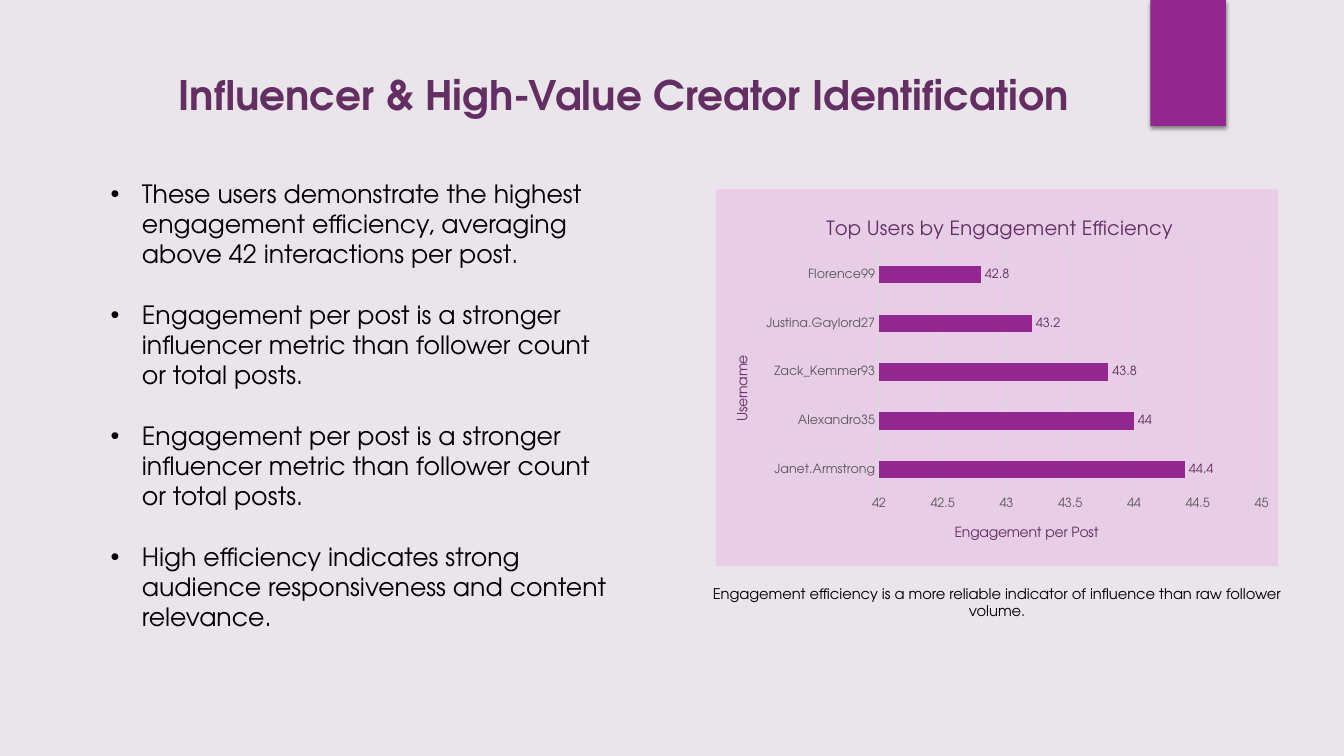
from dataclasses import dataclass

from lxml import etree
from pptx import Presentation
from pptx.chart.data import CategoryChartData
from pptx.dml.color import RGBColor
from pptx.enum.chart import XL_CHART_TYPE, XL_LABEL_POSITION, XL_TICK_MARK
from pptx.enum.shapes import MSO_SHAPE
from pptx.enum.text import MSO_ANCHOR, PP_ALIGN
from pptx.oxml import parse_xml
from pptx.oxml.ns import nsdecls, qn
from pptx.util import Inches, Pt

BAR = XL_CHART_TYPE.BAR_CLUSTERED
OUTSIDE = XL_LABEL_POSITION.OUTSIDE_END
NO_TICK = XL_TICK_MARK.NONE
RECT = MSO_SHAPE.RECTANGLE
TOP, MIDDLE = MSO_ANCHOR.TOP, MSO_ANCHOR.MIDDLE
LEFT, CENTER = PP_ALIGN.LEFT, PP_ALIGN.CENTER

FONT = "TeX Gyre Adventor"
PALE, PINK, PURPLE, PLUM = "EAE5EB", "E8CDE7", "92278F", "632E62"
BLACK, GREY, SILVER = "000000", "595959", "D9D9D9"


@dataclass
class Box:
    x: float
    y: float
    w: float
    h: float

    def inches(self) -> tuple:
        return tuple(Inches(n) for n in (self.x, self.y, self.w, self.h))


@dataclass
class Text:
    box: Box
    lines: list[str]
    size: float
    color: str = BLACK
    bold: bool = False
    align: PP_ALIGN = LEFT
    anchor: MSO_ANCHOR = TOP
    bullet: bool = False


TEXTS = [
    Text(Box(1.67, 0.64, 11.5, 0.6),
         ["Influencer & High-Value Creator Identification"],
         29, PLUM, bold=True, anchor=MIDDLE),
    Text(Box(1, 1.72, 5.23, 4.64), [
        "These users demonstrate the highest engagement efficiency, "
        "averaging above 42 interactions per post.",
        "Engagement per post is a stronger influencer metric than "
        "follower count or total posts.",
        "Engagement per post is a stronger influencer metric than "
        "follower count or total posts.",
        "High efficiency indicates strong audience responsiveness and "
        "content relevance."], 18, bullet=True),
    Text(Box(6.72, 5.75, 6.34, 0.45),
         ["Engagement efficiency is a more reliable indicator of influence "
          "than raw follower volume."], 10.5, align=CENTER),
]
USERS = {"Janet.Armstrong": 44.4, "Alexandro35": 44, "Zack_Kemmer93": 43.8,
         "Justina.Gaylord27": 43.2, "Florence99": 42.8}


def rgb(code: str) -> RGBColor:
    return RGBColor.from_string(code)


def style(font, size: float, color: str, bold: bool = False) -> None:
    font.name, font.size, font.bold = FONT, Pt(size), bold
    font.color.rgb = rgb(color)


def add_text(slide, item: Text) -> None:
    frame = slide.shapes.add_textbox(*item.box.inches()).text_frame
    frame.word_wrap = True
    frame.vertical_anchor = item.anchor
    for i, line in enumerate(item.lines):
        para = frame.add_paragraph() if i else frame.paragraphs[0]
        para.alignment = item.align
        if item.bullet:
            para.space_before = Pt(21.6 if i else 0)
            props = para._p.get_or_add_pPr()
            props.set("marL", str(Inches(0.31)))
            props.set("indent", str(Inches(-0.31)))
            font = etree.SubElement(props, qn("a:buFont"))
            font.set("typeface", "Arial")
            etree.SubElement(props, qn("a:buChar")).set("char", "•")
        run = para.add_run()
        run.text = line
        style(run.font, item.size, item.color, item.bold)


def add_rect(slide, box: Box, color: str):
    rect = slide.shapes.add_shape(RECT, *box.inches())
    rect.shadow.inherit = False
    rect.fill.solid()
    rect.fill.fore_color.rgb = rgb(color)
    rect.line.fill.background()
    return rect


def add_shade(shape) -> None:
    """Drop a soft black shadow below the shape."""
    effect = shape._element.spPr.find(qn("a:effectLst"))
    effect.append(parse_xml(
        f'<a:outerShdw {nsdecls("a")} blurRad="{Pt(3)}" dist="{Pt(2)}" '
        'dir="5400000" rotWithShape="0"><a:srgbClr val="000000">'
        '<a:alpha val="45000"/></a:srgbClr></a:outerShdw>'))


def place(node, **spots: float) -> None:
    """Fix a chart part at fractions of the chart's size."""
    old = node.find(qn("c:layout"))
    if old is not None:
        node.remove(old)
    layout = etree.Element(qn("c:layout"))
    manual = etree.SubElement(layout, qn("c:manualLayout"))
    if "w" in spots:
        etree.SubElement(manual, qn("c:layoutTarget")).set("val", "inner")
    for key in ("xMode", "yMode"):
        etree.SubElement(manual, qn(f"c:{key}")).set("val", "edge")
    for key, spot in spots.items():
        etree.SubElement(manual, qn(f"c:{key}")).set("val", str(spot))
    node.insert(0 if node.find(qn("c:tx")) is None else 1, layout)


def set_title(title, text: str, size: float, x: float, y: float):
    frame = title.text_frame
    run = frame.paragraphs[0].add_run()
    run.text = text
    style(run.font, size, PLUM)
    place(title._element, x=x, y=y)
    return frame


def add_bars(slide, box: Box) -> None:
    data = CategoryChartData()
    data.categories = list(USERS)
    data.add_series("Series 1", list(USERS.values()))
    chart = slide.shapes.add_chart(BAR, *box.inches(), data).chart
    style(chart.font, 10, BLACK)
    chart.has_legend = False
    chart.has_title = True
    set_title(chart.chart_title, "Top Users by Engagement Efficiency",
              14, 0.19, 0.04)
    place(chart._chartSpace.chart.plotArea, x=0.29, y=0.14, w=0.68, h=0.69)

    names, scale = chart.category_axis, chart.value_axis
    for axis in (names, scale):
        axis.major_tick_mark = axis.minor_tick_mark = NO_TICK
        style(axis.tick_labels.font, 9, GREY)
    frame = set_title(names.axis_title, "Username", 10, 0.03, 0.43)
    body = frame._txBody.find(qn("a:bodyPr"))
    body.set("rot", "-5400000")
    body.set("vert", "horz")
    set_title(scale.axis_title, "Engagement per Post", 10, 0.42, 0.91)
    scale.minimum_scale, scale.maximum_scale = 42, 45
    scale.major_unit = 0.5
    scale.format.line.fill.background()
    for line in (names.format.line, scale.major_gridlines.format.line):
        line.color.rgb = rgb(SILVER)
        line.width = Pt(0.75)

    plot = chart.plots[0]
    plot.gap_width = 182
    plot.vary_by_categories = False
    series = plot.series[0]
    series.format.fill.solid()
    series.format.fill.fore_color.rgb = rgb(PURPLE)
    labels = series.data_labels
    labels.show_value = True
    labels.position = OUTSIDE
    style(labels.font, 9, PLUM)


def main() -> None:
    deck = Presentation()
    deck.slide_width, deck.slide_height = Inches(13.33), Inches(7.5)
    slide = deck.slides.add_slide(deck.slide_layouts[6])
    slide.background.fill.solid()
    slide.background.fill.fore_color.rgb = rgb(PALE)
    add_shade(add_rect(slide, Box(11.41, 0, 0.75, 1.25), PURPLE))
    add_rect(slide, Box(7.1, 1.88, 5.58, 3.74), PINK)
    add_bars(slide, Box(7.1, 1.99, 5.58, 3.51))
    for item in TEXTS:
        add_text(slide, item)
    deck.save("out.pptx")


if __name__ == "__main__":
    main()
